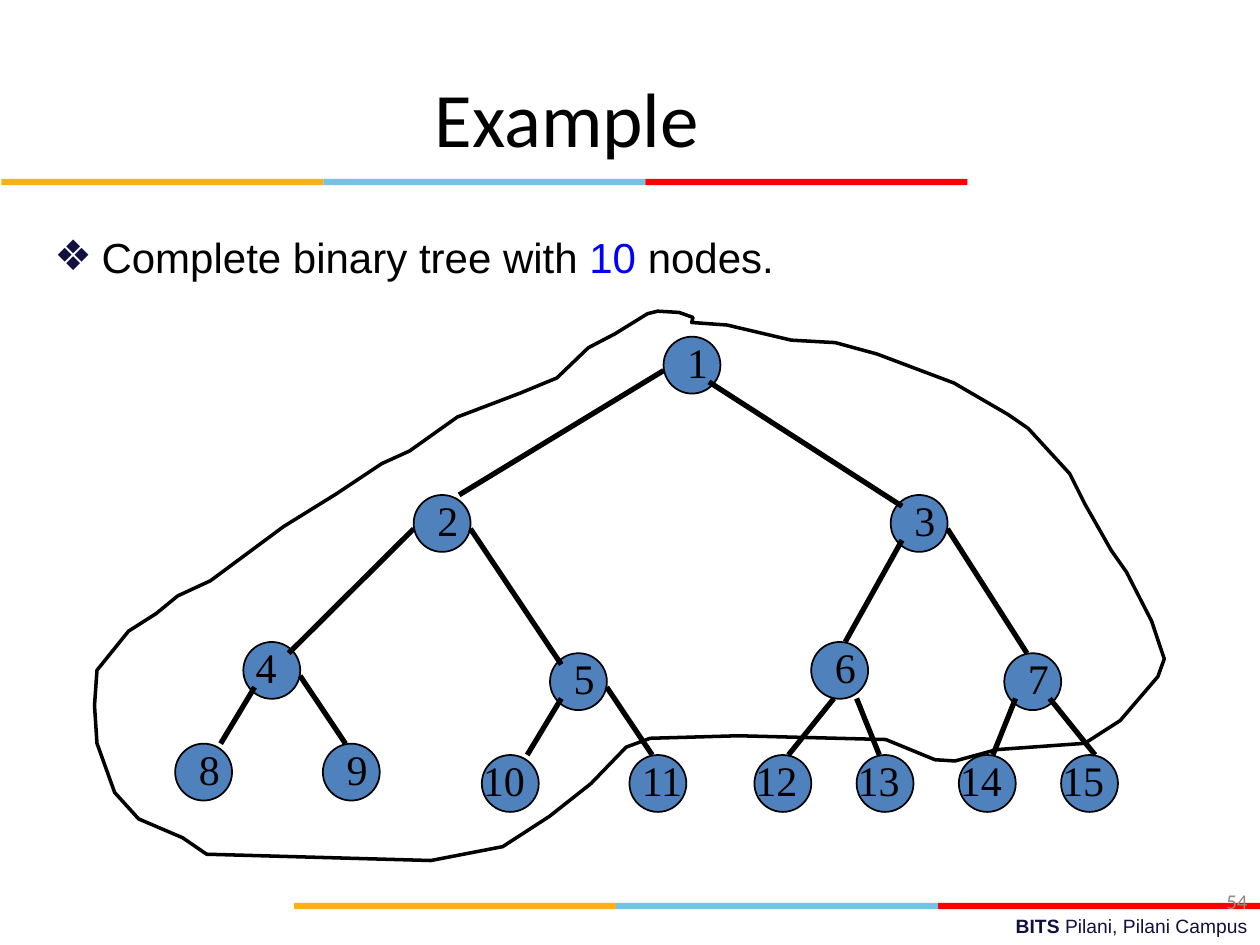
from dataclasses import dataclass
from lxml.etree import SubElement
from pptx import Presentation
from pptx.dml.color import RGBColor
from pptx.enum.shapes import MSO_CONNECTOR, MSO_SHAPE
from pptx.enum.text import MSO_ANCHOR, PP_ALIGN
from pptx.oxml.ns import qn
from pptx.util import Pt


@dataclass(frozen=True)
class Theme:
    sans: str = "Arial"
    heading: str = "Calibri"
    serif: str = "Times New Roman"
    black: str = "000000"
    white: str = "FFFFFF"
    navy: str = "101141"
    blue: str = "0000FF"
    grey: str = "8C8C8C"
    node: str = "4F81BD"
    amber: str = "FCB017"
    sky: str = "76C2E5"
    red: str = "FF0000"
    title_size: int = 44
    text_size: int = 24
    number_size: int = 12
    footer_size: int = 11


T = Theme()

TITLE = "Example"
BODY = [("Complete binary tree with ", T.black), ("10", T.blue), (" nodes.", T.black)]
FOOTER = [("BITS ", True), ("Pilani, Pilani Campus", False)]
PAGE = "54"

BAR_WIDTH, BAR_HEIGHT = 184, 3.6
BAR_COLORS = [T.amber, T.sky, T.red]
BAR_ROWS = [(0.8, 102.2), (168, 516)]

STEP_X, STEP_Y = 6.49, 6.46
TREE_LEFT, TREE_TOP = 100.1, 192.4
NODE_SIZE = 32.5
COLUMNS = [43, 21, 63, 6, 33, 56, 73, 0, 13, 27, 40, *range(51, 79, 9)]
LEVELS = [0, 14, 27, 36]
LOWERED = {5, 7, *range(10, 16)}

LEFT_EDGE, RIGHT_EDGE = ((1, 4), (4, 0)), ((5, 3), (2, 0))
SPECIAL_EDGES = {
    2: ((0, 3), (4, 0)), 3: ((4, 4), (1, 1)), 4: ((0, 3), (4, 1)), 5: ((5, 3), (1, 1)),
    6: ((1, 4), (3, 0)), 12: ((2, 5), (3, 0)), 13: ((4, 5), (2, 0)),
    14: ((1, 4), (3, 0)), 15: ((4, 4), (3, 0)),
}

OUTLINE_UNIT = 0.72
OUTLINE = [
    (549, 256), (577, 258), (628, 270), (663, 272), (696, 281), (757, 304), (800, 329),
    (816, 340), (849, 376), (861, 400), (882, 437), (894, 454), (914, 493), (924, 523),
    (919, 537), (889, 572), (861, 590), (791, 595), (758, 604), (742, 603), (703, 587),
    (586, 584), (516, 586), (497, 593), (469, 622), (436, 648), (399, 672), (342, 683),
    (164, 678), (145, 665), (110, 650), (91, 629), (77, 590), (75, 560), (77, 532),
    (102, 501), (124, 487), (141, 473), (167, 461), (225, 418), (267, 392), (303, 368),
    (325, 358), (363, 331), (413, 312), (442, 300), (467, 276), (488, 265), (514, 249),
    (522, 247), (539, 248), (550, 252),
]


def rgb(color):
    return RGBColor.from_string(color)


def add_run(p, text, font=T.sans, size=T.text_size, color=T.black, bold=False):
    r = p.add_run()
    r.text = text
    r.font.name, r.font.size, r.font.bold = font, Pt(size), bold
    r.font.color.rgb = rgb(color)


def add_text(slide, box, runs, align=PP_ALIGN.LEFT, anchor=MSO_ANCHOR.TOP, top=3.6):
    tf = slide.shapes.add_textbox(*map(Pt, box)).text_frame
    tf.word_wrap, tf.vertical_anchor, tf.margin_top = True, anchor, Pt(top)
    p = tf.paragraphs[0]
    p.alignment = align
    for text, style in runs:
        add_run(p, text, **style)


def paint(sp, fill, line_width=0):
    sp.shadow.inherit = False
    sp.fill.solid()
    sp.fill.fore_color.rgb = rgb(fill)
    if line_width:
        sp.line.color.rgb = rgb(T.black)
        sp.line.width = Pt(line_width)
    else:
        sp.line.fill.background()


def place(sp, left, top, width, height):
    sp.left, sp.top, sp.width, sp.height = map(Pt, (left, top, width, height))


def grid(node, offset=(0, 0)):
    x = COLUMNS[node - 1]
    y = LEVELS[node.bit_length() - 1] + (node in LOWERED)
    return TREE_LEFT + (x + offset[0]) * STEP_X, TREE_TOP + (y + offset[1]) * STEP_Y


def label_shift(node):
    if node in (4, 11):
        return 0
    return 1 if node < 10 else -1


def add_headings(slide):
    title = slide.shapes.title
    place(title, 0, 21.6, 648, 90)
    title.text_frame.vertical_anchor = MSO_ANCHOR.MIDDLE
    p = title.text_frame.paragraphs[0]
    p.alignment = PP_ALIGN.CENTER
    add_run(p, TITLE, font=T.heading, size=T.title_size)

    body = slide.placeholders[1]
    place(body, 23.8, 128.5, 648, 354)
    p = body.text_frame.paragraphs[0]
    p.space_before = Pt(0)
    pPr = p._p.get_or_add_pPr()
    pPr.set("marL", str(Pt(27)))
    pPr.set("indent", str(Pt(-27)))
    SubElement(SubElement(pPr, qn("a:buClr")), qn("a:srgbClr")).set("val", T.navy)
    SubElement(pPr, qn("a:buChar")).set("char", "❖")
    for text, color in BODY:
        add_run(p, text, color=color)


def add_frame(slide):
    add_text(slide, (257.8, 519.1, 462.2, 20.9),
             [(text, dict(size=T.footer_size, color=T.navy, bold=bold)) for text, bold in FOOTER],
             align=PP_ALIGN.RIGHT)
    for left, top in BAR_ROWS:
        for i, color in enumerate(BAR_COLORS):
            box = (left + i * BAR_WIDTH, top, BAR_WIDTH, BAR_HEIGHT)
            paint(slide.shapes.add_shape(MSO_SHAPE.RECTANGLE, *map(Pt, box)), color)
    add_text(slide, (552.2, 500.4, 167.8, 28.8),
             [(PAGE, dict(font=T.heading, size=T.number_size, color=T.grey))],
             align=PP_ALIGN.RIGHT, anchor=MSO_ANCHOR.MIDDLE)


def add_tree(slide):
    builder = slide.shapes.build_freeform(*OUTLINE[0], scale=Pt(OUTLINE_UNIT))
    builder.add_line_segments(OUTLINE[1:], close=True)
    paint(builder.convert_to_shape(), T.white, 2)

    nodes = range(1, len(COLUMNS) + 1)
    for node in nodes:
        sp = slide.shapes.add_shape(MSO_SHAPE.OVAL, *map(Pt, (*grid(node), NODE_SIZE, NODE_SIZE)))
        paint(sp, T.node, 1)
    for child in nodes[1:]:
        start, end = SPECIAL_EDGES.get(child, RIGHT_EDGE if child % 2 else LEFT_EDGE)
        ends = (*grid(child // 2, start), *grid(child, end))
        line = slide.shapes.add_connector(MSO_CONNECTOR.STRAIGHT, *map(Pt, ends))
        line.line.color.rgb, line.line.width = rgb(T.black), Pt(3)
        SubElement(line._element.spPr, qn("a:effectLst"))
    for node in nodes:
        left, top = grid(node, (label_shift(node), -1))
        width = 4 * STEP_X * len(str(node))
        add_text(slide, (left, top, width, 6 * STEP_Y), [(str(node), dict(font=T.serif))], top=6.1)


def main():
    prs = Presentation()
    prs.slide_width, prs.slide_height = Pt(720), Pt(540)
    slide = prs.slides.add_slide(prs.slide_layouts[1])
    add_headings(slide)
    add_frame(slide)
    add_tree(slide)
    prs.save("out.pptx")


if __name__ == "__main__":
    main()
